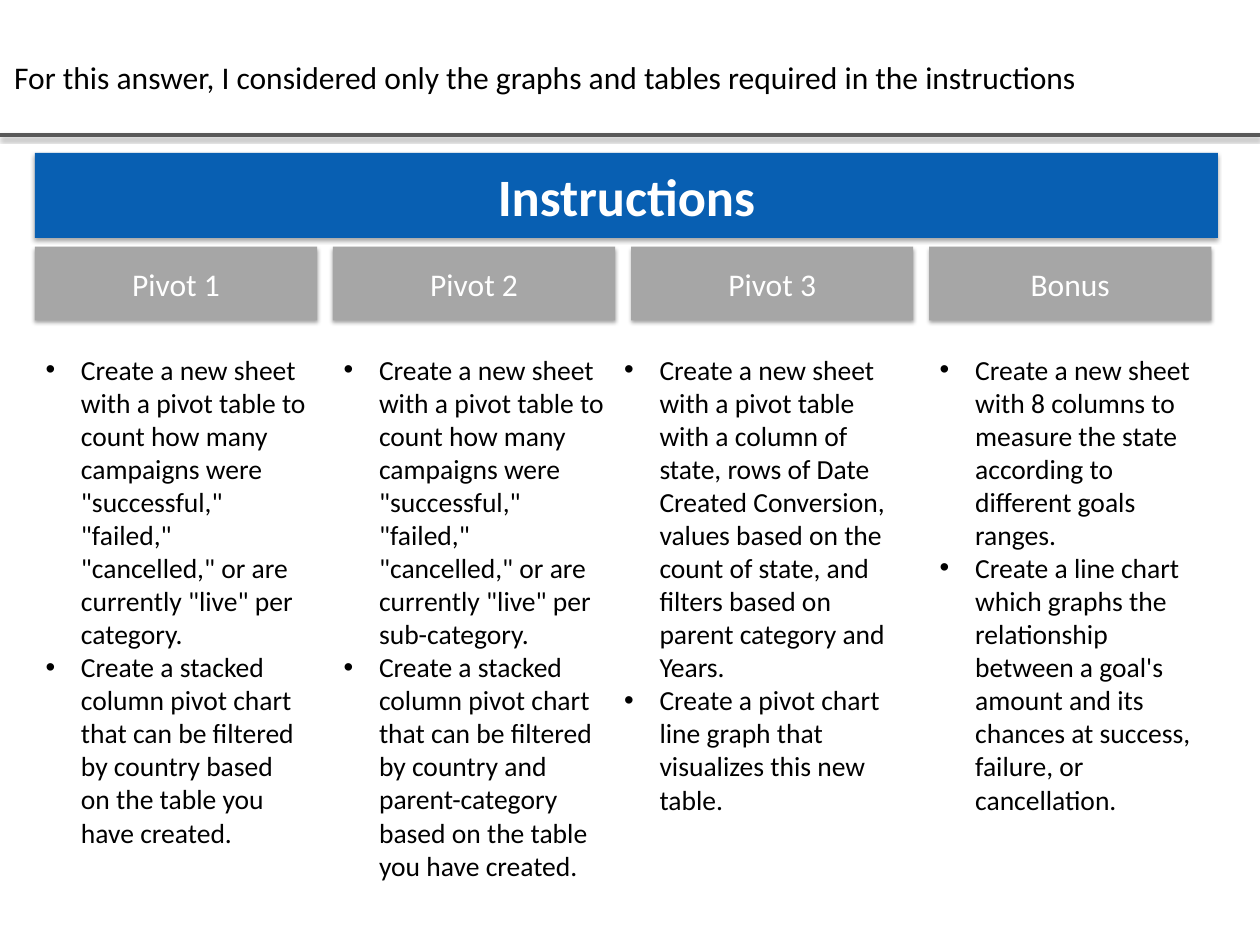
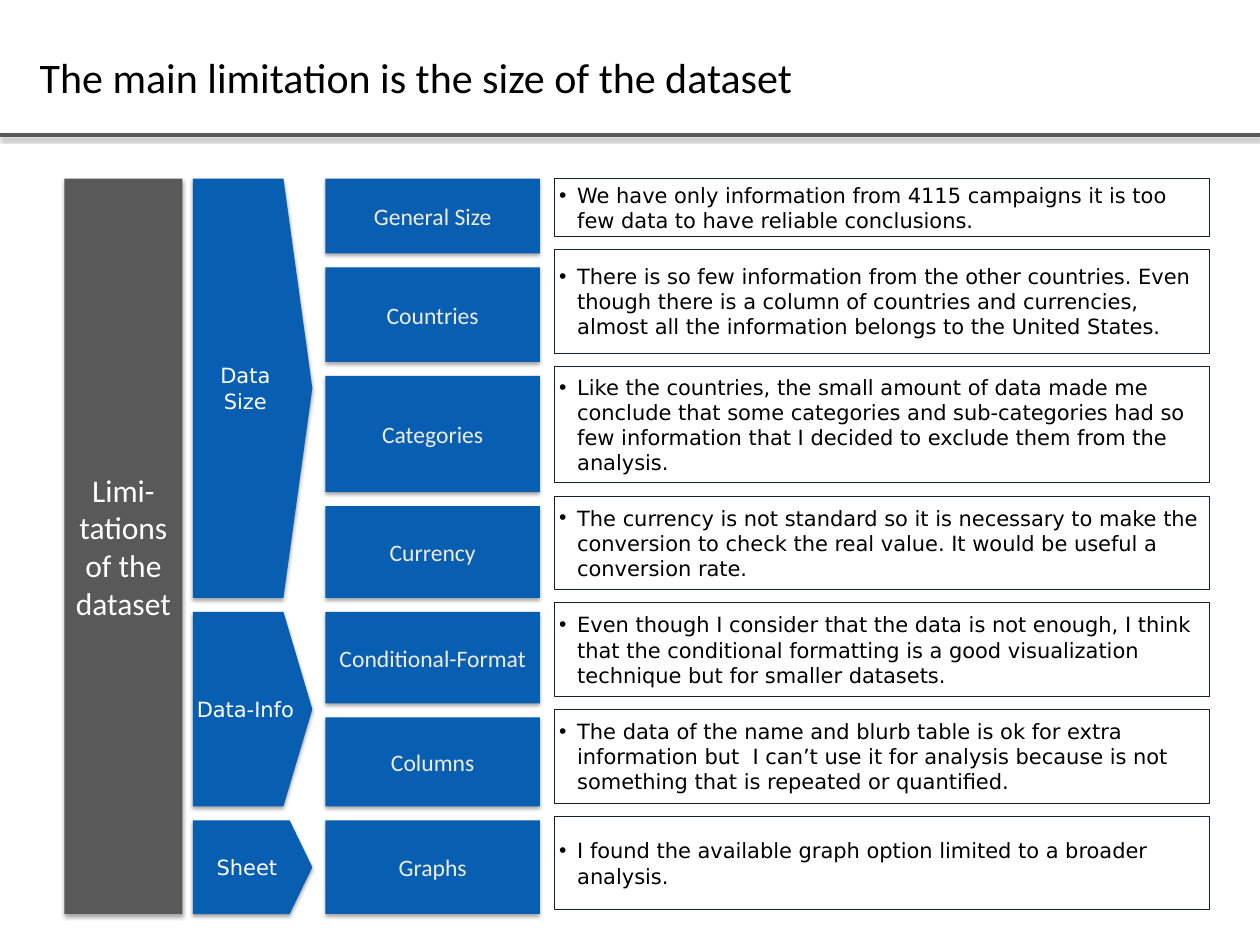
import pptx
import pptx.dml.color
import pptx.enum.shapes
import pptx.enum.text
import pptx.oxml.ns
import pptx.util
from lxml import etree

Pt = pptx.util.Pt
Shape = pptx.enum.shapes.MSO_SHAPE
Align = pptx.enum.text.PP_ALIGN
Anchor = pptx.enum.text.MSO_ANCHOR
AutoSize = pptx.enum.text.MSO_AUTO_SIZE
qn = pptx.oxml.ns.qn

SLIDE_WIDTH, SLIDE_HEIGHT = 960, 720
BLUE, DARK_GRAY, LIGHT_GRAY = "085FB2", "595959", "A6A6A6"
WHITE, BLACK, CREAM, NAVY = "FFFFFF", "000000", "EEECE1", "122031"
HEADING_FONT, BODY_FONT = "Calibri", "DejaVu Sans"

PIVOT_TASK = (
    'Create a new sheet with a pivot table to count how many campaigns were '
    '"successful," "failed," "cancelled," or are currently "live" per {}.'
)
CHART_TASK = (
    "Create a stacked column pivot chart that can be filtered by {} "
    "based on the table you have created."
)
INSTRUCTIONS = [
    ("Pivot 1", 0, 388.8, [PIVOT_TASK.format("category"), CHART_TASK.format("country")]),
    ("Pivot 2", 0, 414.7, [
        PIVOT_TASK.format("sub-category"),
        CHART_TASK.format("country and parent-category"),
    ]),
    ("Pivot 3", -13.4, 363.6, [
        "Create a new sheet with a pivot table with a column of state, rows of Date "
        "Created Conversion, values based on the count of state, and filters based on "
        "parent category and Years.",
        "Create a pivot chart line graph that visualizes this new table.",
    ]),
    ("Bonus", 0, 363.6, [
        "Create a new sheet with 8 columns to measure the state according to different "
        "goals ranges.",
        "Create a line chart which graphs the relationship between a goal's amount and "
        "its chances at success, failure, or cancellation.",
    ]),
]

LIMITATIONS = [
    ("General Size", 56.9, 43.9,
     "We have only information from 4115 campaigns it is too few data to have reliable "
     "conclusions."),
    ("Countries", 72, 79.2,
     "There is so few information from the other countries. Even though there is a column "
     "of countries and currencies, almost all the information belongs to the United States."),
    ("Categories", 88.6, 88.6,
     "Like the countries, the small amount of data made me conclude that some categories "
     "and sub-categories had so few information that I decided to exclude them from the "
     "analysis."),
    ("Currency", 69.8, 71.3,
     "The currency is not standard so it is necessary to make the conversion to check the "
     "real value. It would be useful a conversion rate."),
    ("Conditional-Format", 69.8, 71.3,
     "Even though I consider that the data is not enough, I think that the conditional "
     "formatting is a good visualization technique but for smaller datasets."),
    ("Columns", 67.7, 71.3,
     "The data of the name and blurb table is ok for extra information but  I can’t use it "
     "for analysis because is not something that is repeated or quantified."),
    ("Graphs", 71.3, 71.3,
     "I found the available graph option limited to a broader analysis."),
]
GROUPS = [("Data Size", 0, 3), ("Data-Info", 4, 5), ("Sheet", 6, 6)]


def color(value):
    return pptx.dml.color.RGBColor.from_string(value)


def add_shadow(shape):
    effects = etree.SubElement(shape._element.spPr, qn("a:effectLst"))
    shadow = etree.SubElement(
        effects, qn("a:outerShdw"), blurRad=str(Pt(3.1)), dist=str(Pt(1.8)),
        dir="5400000", rotWithShape="0",
    )
    black = etree.SubElement(shadow, qn("a:srgbClr"), val=BLACK)
    etree.SubElement(black, qn("a:alpha"), val="35000")


def set_margins(text_frame, margin):
    text_frame.margin_left = text_frame.margin_right = Pt(margin)
    text_frame.margin_top = text_frame.margin_bottom = Pt(margin)


def format_paragraph(paragraph, size, font_name, font_color, bold=False):
    for run in paragraph.runs:
        run.font.size = Pt(size)
        run.font.name = font_name
        run.font.bold = bold
        run.font.color.rgb = color(font_color)


def add_bullet(paragraph, indent, hanging):
    properties = paragraph._p.get_or_add_pPr()
    properties.set("marL", str(Pt(indent)))
    properties.set("indent", str(-Pt(hanging)))
    bullet_color = etree.SubElement(properties, qn("a:buClr"))
    etree.SubElement(bullet_color, qn("a:srgbClr"), val=BLACK)
    etree.SubElement(properties, qn("a:buFont"), typeface="Arial")
    etree.SubElement(properties, qn("a:buChar"), char="•")


def add_titled_slide(presentation, text, left, width, size):
    slide = presentation.slides.add_slide(presentation.slide_layouts[5])
    rule = slide.shapes.add_connector(
        pptx.enum.shapes.MSO_CONNECTOR.STRAIGHT, 0, Pt(103), Pt(SLIDE_WIDTH), Pt(103)
    )
    rule.line.color.rgb = color(DARK_GRAY)
    rule.line.width = Pt(3)
    add_shadow(rule)
    title = slide.shapes.title
    title.left, title.top = Pt(left), Pt(12.2)
    title.width, title.height = Pt(width), Pt(92.2)
    text_frame = title.text_frame
    text_frame.text = text
    text_frame.auto_size = AutoSize.NONE
    text_frame.vertical_anchor = Anchor.MIDDLE
    paragraph = text_frame.paragraphs[0]
    paragraph.alignment = Align.LEFT
    format_paragraph(paragraph, size, HEADING_FONT, BLACK)
    return slide


def add_block(slide, bounds, text, fill, size, font_color=WHITE, bold=False,
              kind=Shape.RECTANGLE, font_name=HEADING_FONT, margin=3.6):
    block = slide.shapes.add_shape(kind, *map(Pt, bounds))
    block.fill.solid()
    block.fill.fore_color.rgb = color(fill)
    block.line.fill.background()
    add_shadow(block)
    text_frame = block.text_frame
    text_frame.text = text
    text_frame.word_wrap = True
    text_frame.vertical_anchor = Anchor.MIDDLE
    set_margins(text_frame, margin)
    paragraph = text_frame.paragraphs[0]
    paragraph.alignment = Align.CENTER
    format_paragraph(paragraph, size, font_name, font_color, bold)
    return block


def add_group_arrow(slide, bounds, text):
    arrow = add_block(slide, bounds, text, BLUE, 16, kind=Shape.PENTAGON,
                      font_name=BODY_FONT, margin=2.6)
    arrow.adjustments[0] = 0.242


def add_note(slide, bounds, text):
    note = slide.shapes.add_shape(Shape.RECTANGLE, *map(Pt, bounds))
    note.shadow.inherit = False
    note.fill.background()
    note.line.color.rgb = color(NAVY)
    note.line.width = Pt(0.75)
    text_frame = note.text_frame
    text_frame.text = text
    text_frame.word_wrap = True
    text_frame.vertical_anchor = Anchor.MIDDLE
    set_margins(text_frame, 3.6)
    paragraph = text_frame.paragraphs[0]
    paragraph.alignment = Align.LEFT
    add_bullet(paragraph, 13.7, 13.7)
    format_paragraph(paragraph, 16, BODY_FONT, BLACK)


def add_bullet_list(slide, bounds, items):
    text_frame = slide.shapes.add_textbox(*map(Pt, bounds)).text_frame
    text_frame.word_wrap = True
    text_frame.auto_size = AutoSize.SHAPE_TO_FIT_TEXT
    text_frame.text = "\n".join(items)
    for paragraph in text_frame.paragraphs:
        paragraph.level = 1
        add_bullet(paragraph, 28, 27)
        format_paragraph(paragraph, 21, HEADING_FONT, BLACK)


def stack_tops(top, heights, gap):
    tops = []
    for height in heights:
        tops.append(top)
        top += height + gap
    return tops


def build_instructions(presentation):
    slide = add_titled_slide(
        presentation,
        "For this answer, I considered only the graphs and tables required in the instructions",
        3.6, 955.4, 24,
    )
    left, width, pitch = 26.6, 215, 227.1
    add_block(slide, (left, 116.6, 901.4, 64.8), "Instructions", BLUE, 40, bold=True)
    for index, (heading, shift, height, items) in enumerate(INSTRUCTIONS):
        column_left = left + index * pitch
        add_block(slide, (column_left, 188, width, 56.2), heading, LIGHT_GRAY, 24)
        add_bullet_list(slide, (column_left + shift, 265, width, height), items)


def build_limitations(presentation):
    slide = add_titled_slide(
        presentation, "The main limitation is the size of the dataset", 23, 879, 32
    )
    top = 136.1
    label_heights = [row[1] for row in LIMITATIONS]
    label_tops = stack_tops(top, label_heights, 10.7)
    note_tops = stack_tops(top, [row[2] for row in LIMITATIONS], 10.05)
    bottom = label_tops[-1] + label_heights[-1]
    add_block(slide, (49, top, 90, bottom - top), "Limi-tations of the dataset", DARK_GRAY, 24)
    for text, first, last in GROUPS:
        height = label_tops[last] + label_heights[last] - label_tops[first]
        add_group_arrow(slide, (147, label_tops[first], 91, height), text)
    for row, label_top, note_top in zip(LIMITATIONS, label_tops, note_tops):
        label, label_height, note_height, note = row
        add_block(slide, (248, label_top, 163.4, label_height), label, BLUE, 18, CREAM)
        add_note(slide, (422.5, note_top, 499, note_height), note)


def main():
    presentation = pptx.Presentation()
    presentation.slide_width = Pt(SLIDE_WIDTH)
    presentation.slide_height = Pt(SLIDE_HEIGHT)
    build_instructions(presentation)
    build_limitations(presentation)
    presentation.save("out.pptx")


if __name__ == "__main__":
    main()
